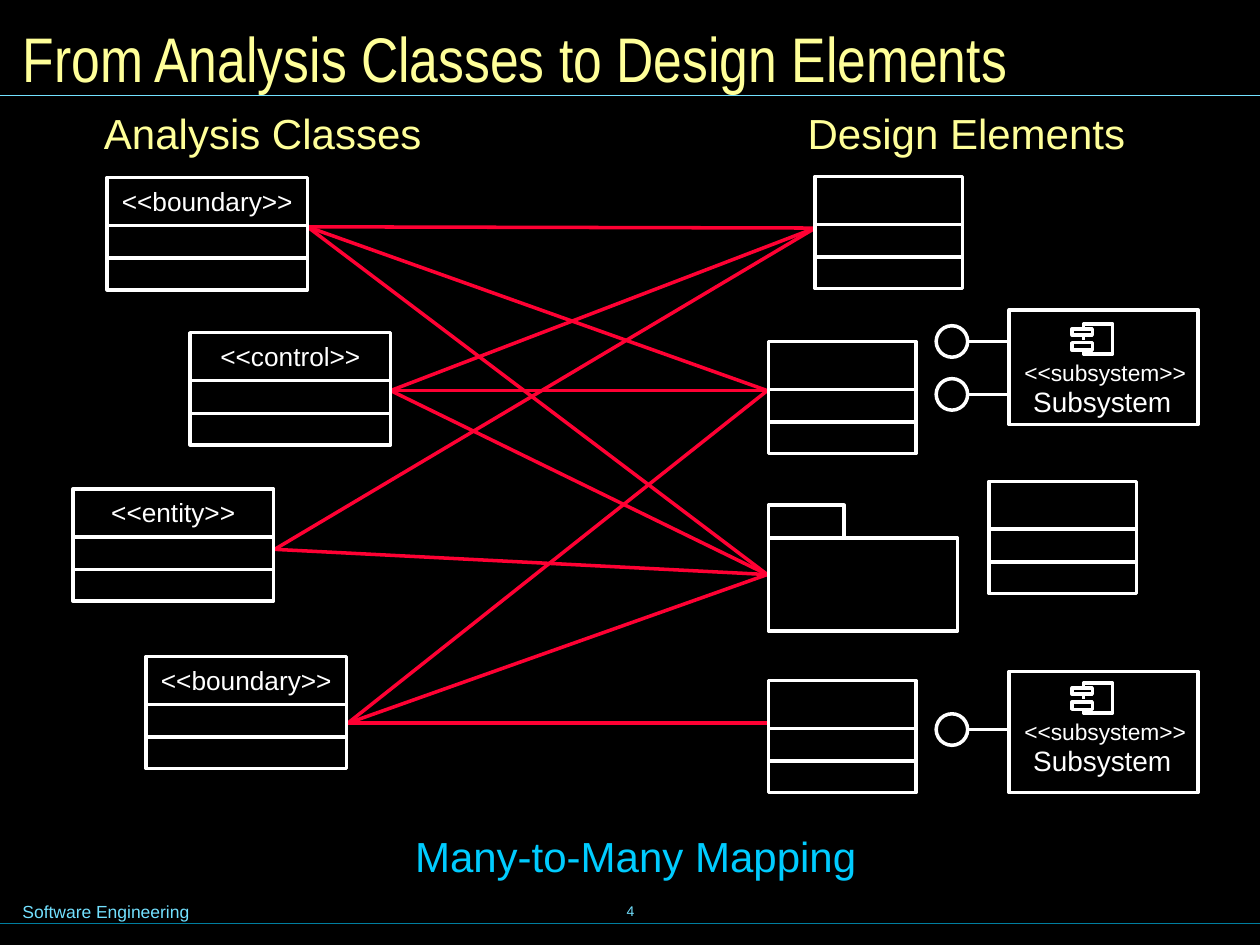
import dataclasses

import pptx
import pptx.dml.color
import pptx.enum.shapes
import pptx.enum.text
import pptx.oxml
import pptx.oxml.ns
import pptx.util

Inches = pptx.util.Inches
Kind = pptx.enum.shapes.MSO_SHAPE
Align = pptx.enum.text.PP_ALIGN
Anchor = pptx.enum.text.MSO_ANCHOR


@dataclasses.dataclass(frozen=True)
class Theme:
    """Colours, fonts, type sizes and line widths of the slide."""
    back: str = "000000"
    ink: str = "FFFFFF"
    head: str = "FFFF99"
    link: str = "FF0033"
    note: str = "00CCFF"
    foot: str = "73E1FF"
    base: str = "007E9F"
    font: str = "Arial"
    slim: str = "Arial Narrow"
    title: int = 36
    label: int = 24
    name: int = 16
    kind: int = 15
    small: int = 13
    tiny: int = 10
    page: int = 8
    thick: float = 2
    thin: float = 0.75


THEME = Theme()


def rgb(code):
    """Turn a hex code into a colour."""
    return pptx.dml.color.RGBColor.from_string(code)


def write(frame, text, size, color, align=Align.LEFT, font=THEME.font):
    """Put one formatted run in a text frame."""
    line = frame.paragraphs[0]
    line.alignment = align
    run = line.add_run()
    run.text = text
    run.font.size = pptx.util.Pt(size)
    run.font.name = font
    run.font.color.rgb = rgb(color)


def label(shapes, box, text, size, color, align=Align.CENTER, pad=(0.12, 0.06)):
    """Add a text box with even padding."""
    frame = shapes.add_textbox(*map(Inches, box)).text_frame
    frame.word_wrap = True
    frame.margin_left = frame.margin_right = Inches(pad[0])
    frame.margin_top = frame.margin_bottom = Inches(pad[1])
    write(frame, text, size, color, align)
    return frame


def rule(shapes, start, end, color=THEME.ink, width=THEME.thick):
    """Draw a straight line between two points."""
    line = shapes.add_connector(pptx.enum.shapes.MSO_CONNECTOR.STRAIGHT,
                                *map(Inches, (*start, *end)))
    line.line.color.rgb = rgb(color)
    line.line.width = pptx.util.Pt(width)
    props = line._element.spPr
    props.append(pptx.oxml.parse_xml(f"<a:effectLst {pptx.oxml.ns.nsdecls('a')}/>"))


def edge(shape):
    """Leave a shape hollow with a plain outline."""
    shape.shadow.inherit = False
    shape.fill.background()
    shape.line.color.rgb = rgb(THEME.ink)
    shape.line.width = pptx.util.Pt(THEME.thick)


def block(shapes, box, kind=Kind.RECTANGLE):
    """Add a hollow preset shape."""
    edge(shapes.add_shape(kind, *map(Inches, box)))


def class_box(slide, box, text=None):
    """Draw a class with three compartments and a stereotype."""
    shapes = slide.shapes.add_group_shape().shapes
    left, top, width, _ = box
    block(shapes, box)
    for drop in (0.38, 0.64):
        rule(shapes, (left, top + drop), (left + width, top + drop))
    if text:
        label(shapes, (left - 0.08, top, width + 0.16, 0.37), text, THEME.kind, THEME.ink)


def package(slide, box):
    """Draw a package with its tab."""
    shapes = slide.shapes.add_group_shape().shapes
    left, top, width, height = box
    tab = 0.26
    block(shapes, (left, top + tab, width, height - tab))
    block(shapes, (left, top, 0.6, tab))


def port(slide, box, size=0.25):
    """Draw an interface circle and its stem across the box."""
    shapes = slide.shapes.add_group_shape().shapes
    left, mid, width = box
    block(shapes, (left, mid - size / 2, size, size), Kind.OVAL)
    rule(shapes, (left + size, mid), (left + width, mid))


def icon(slide, left, top):
    """Draw the component symbol."""
    shapes = slide.shapes.add_group_shape().shapes
    for drop, height in ((0.15, 0.06), (0.04, 0.05)):
        block(shapes, (left, top + drop, 0.16, height))
    near, far = left + 0.09, left + 0.32
    spots = [(near, top + 0.04), (near, top), (far, top), (far, top + 0.24),
             (near, top + 0.24), (near, top + 0.21)]
    (first, *rest) = [(Inches(x), Inches(y)) for x, y in spots]
    path = shapes.build_freeform(*first)
    path.add_line_segments(rest, close=False)
    edge(path.convert_to_shape())
    rule(shapes, (near, top + 0.1), (near, top + 0.13))


def subsystem(slide, box, drop, mids):
    """Draw a subsystem with its symbol, names and interfaces."""
    left, top, width, _ = box
    block(slide.shapes, box)
    for mid in mids:
        port(slide, (left - 0.58, mid, 0.58))
    icon(slide, left + 0.5, top + drop)
    for shift, down, text, size in ((0.19, 0.48, "Subsystem", THEME.name),
                                    (0.12, 0.28, "<<subsystem>>", THEME.small)):
        label(slide.shapes, (left + shift, top + drop + down, width - shift, 0.25), text,
              size, THEME.ink, Align.LEFT, (0, 0))


def frame_page(slide, width):
    """Place the title, rules and footer."""
    title = slide.shapes.title
    title.left, title.top, title.width, title.height = map(Inches, (0.08, 0.08, 9.84, 0.75))
    title.text_frame.vertical_anchor = Anchor.MIDDLE
    write(title.text_frame, "From Analysis Classes to Design Elements", THEME.title,
          THEME.head, font=THEME.slim)
    for high, color in ((7.33, THEME.base), (0.76, THEME.foot)):
        rule(slide.shapes, (0, high), (width, high), color, THEME.thin)
    pad = (0.1, 0.05)
    label(slide.shapes, (0.08, 7.1, 2.95, 0.27), "Software Engineering", THEME.tiny,
          THEME.foot, Align.LEFT, pad)
    page = label(slide.shapes, (3.42, 6.98, 3.17, 0.5), "4", THEME.page, THEME.foot, pad=pad)
    page.vertical_anchor = Anchor.MIDDLE


def mapping(slide):
    """Link each analysis class to its design elements."""
    starts = [(2.44, 1.8), (3.1, 3.1), (2.18, 4.36), (2.76, 5.74)]
    ends = [(6.47, 1.81), (6.09, 3.1), (6.09, 4.56), (6.09, 5.74)]
    pairs = [(0, 1, 2), (0, 1, 2), (0, 2), (1, 2, 3)]
    for start, goals in zip(starts, pairs):
        for goal in goals:
            rule(slide.shapes, start, ends[goal], THEME.link)


def analysis(slide):
    """Draw the analysis classes."""
    label(slide.shapes, (0.5, 0.79, 3.17, 0.52), "Analysis Classes", THEME.label, THEME.head)
    for left, top, text in ((0.85, 1.41, "<<boundary>>"), (1.51, 2.64, "<<control>>"),
                            (0.58, 3.88, "<<entity>>"), (1.16, 5.21, "<<boundary>>")):
        class_box(slide, (left, top, 1.59, 0.89), text)


def design(slide):
    """Draw the design elements."""
    label(slide.shapes, (6.19, 0.79, 2.96, 0.52), "Design Elements", THEME.label, THEME.head)
    for left, top in ((6.47, 1.4), (6.1, 2.71), (7.85, 3.82), (6.1, 5.4)):
        class_box(slide, (left, top, 1.17, 0.89))
    package(slide, (6.1, 4.01, 1.5, 1))
    subsystem(slide, (8.01, 2.46, 1.5, 0.91), 0.11, (2.71, 3.13))
    subsystem(slide, (8.01, 5.33, 1.5, 0.96), 0.09, (5.79,))


def main():
    """Build and save the deck."""
    deck = pptx.Presentation()
    deck.slide_width, deck.slide_height = Inches(10), Inches(7.5)
    slide = deck.slides.add_slide(deck.slide_layouts[5])
    slide.background.fill.solid()
    slide.background.fill.fore_color.rgb = rgb(THEME.back)
    frame_page(slide, 10)
    mapping(slide)
    analysis(slide)
    design(slide)
    label(slide.shapes, (2.88, 6.53, 4.33, 0.52), "Many-to-Many Mapping", THEME.label, THEME.note)
    deck.save("out.pptx")


if __name__ == "__main__":
    main()
